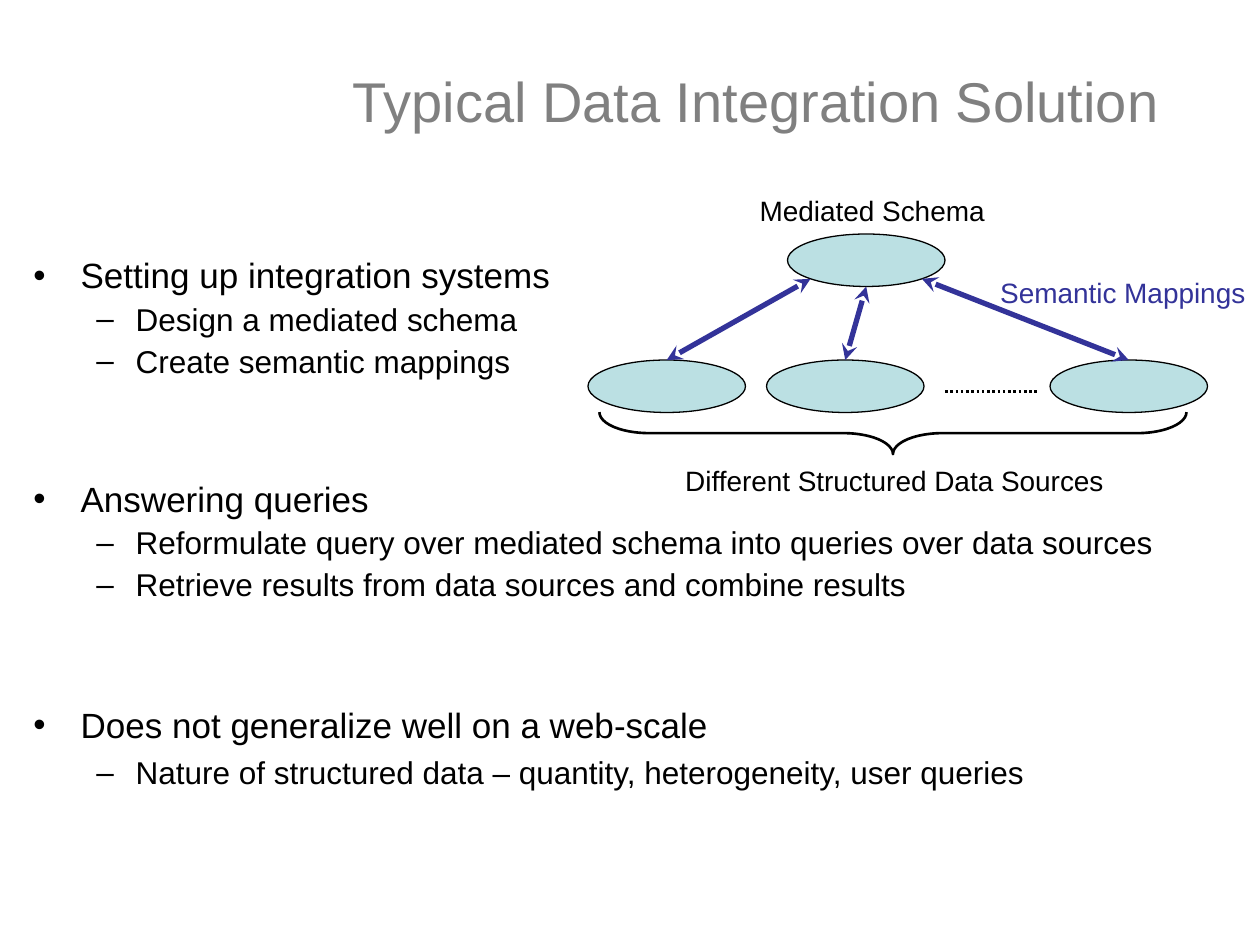
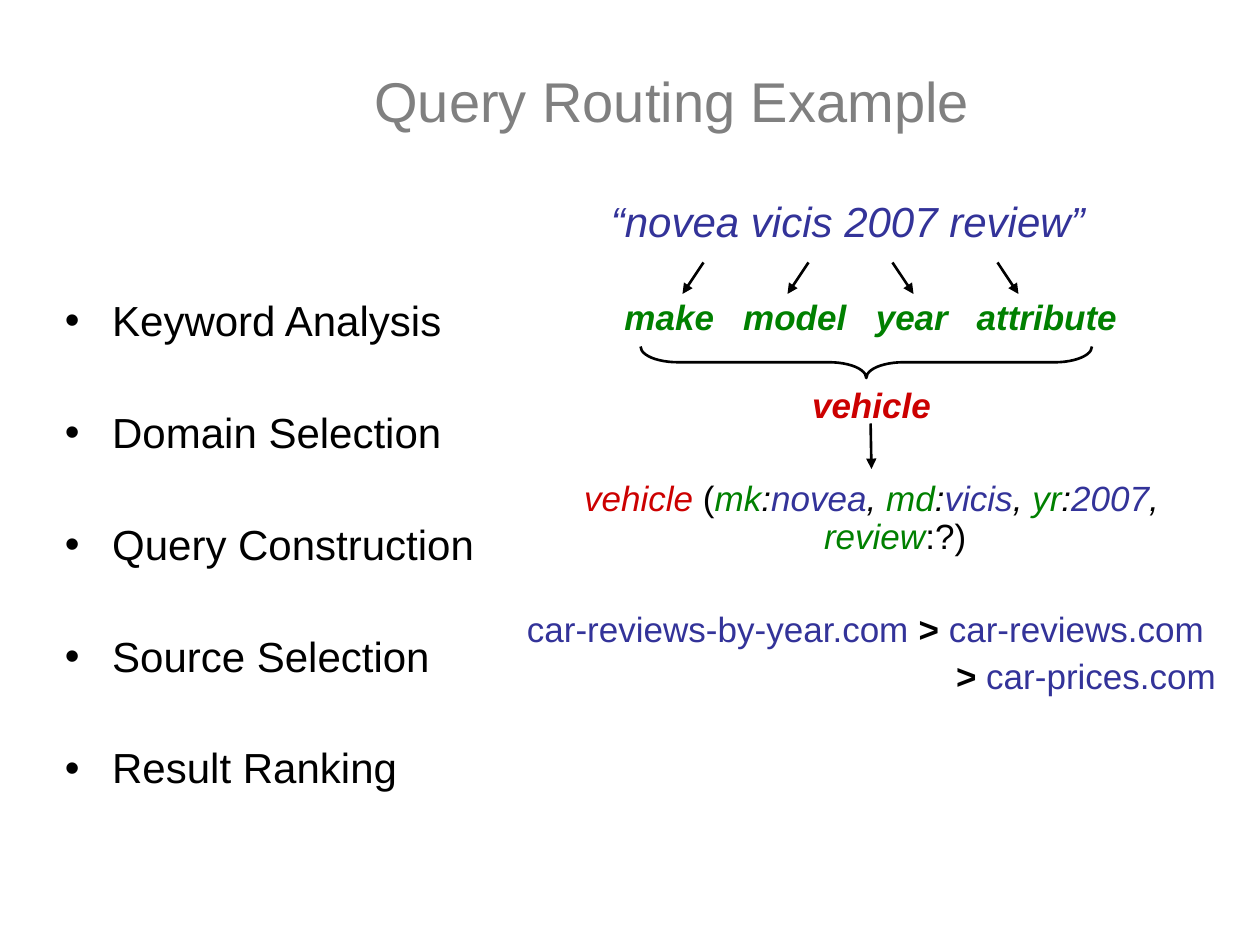
"""Builds two slides on data integration and query routing."""
import math
from dataclasses import dataclass

import lxml.etree
import pptx
import pptx.dml.color
import pptx.enum.dml
import pptx.enum.shapes
import pptx.enum.text
import pptx.oxml.ns
import pptx.slide
import pptx.util

Pt = pptx.util.Pt
ALIGN = pptx.enum.text.PP_ALIGN
ANCHOR = pptx.enum.text.MSO_ANCHOR
SHAPE = pptx.enum.shapes.MSO_SHAPE
qn = pptx.oxml.ns.qn


@dataclass(frozen=True)
class Theme:
    font: str = "Arial"
    black: str = "000000"
    gray: str = "808080"
    blue: str = "333399"
    green: str = "008000"
    red: str = "CC0000"
    pale: str = "BBE0E3"
    title: float = 32
    large: float = 24
    body: float = 20
    detail: float = 18
    label: float = 16


THEME = Theme()


@dataclass(frozen=True)
class Frame:
    left: float
    top: float
    width: float
    height: float

    @property
    def lengths(self) -> list:
        return [Pt(n) for n in (self.left, self.top, self.width, self.height)]


@dataclass(frozen=True)
class Span:
    text: str
    color: str = THEME.black
    bold: bool = False
    italic: bool = False


@dataclass(frozen=True)
class Line:
    spans: tuple[Span, ...]
    size: float = THEME.body
    before: float = 0
    spacing: float = 0.9
    align: ALIGN = ALIGN.LEFT
    margin: float = 27
    indent: float = -27
    bullet: str = ""


@dataclass(frozen=True)
class Arrow:
    start: tuple[float, float]
    end: tuple[float, float]
    color: str = THEME.black
    weight: float = 1.5
    head: str = ""
    tail: str = ""


def rgb(color: str) -> pptx.dml.color.RGBColor:
    return pptx.dml.color.RGBColor.from_string(color)


def add_child(parent, tag: str, **attributes: str):
    return lxml.etree.SubElement(parent, qn(tag), attributes)


def format_line(para, line: Line) -> None:
    para.text = line.spans[0].text
    for span in line.spans[1:]:
        para.add_run().text = span.text
    para.alignment = line.align
    para.line_spacing = line.spacing
    para.space_before = Pt(line.before)
    props = para._p.get_or_add_pPr()
    props.set("marL", str(Pt(line.margin)))
    props.set("indent", str(Pt(line.indent)))
    if line.bullet:
        add_child(add_child(props, "a:buClr"), "a:srgbClr", val=THEME.black)
        add_child(props, "a:buFont", typeface=THEME.font)
        add_child(props, "a:buChar", char=line.bullet)
    else:
        add_child(props, "a:buNone")
    for run, span in zip(para.runs, line.spans):
        run.font.name = THEME.font
        run.font.size = Pt(line.size)
        run.font.bold = span.bold
        run.font.italic = span.italic
        run.font.color.rgb = rgb(span.color)


def add_text(page: pptx.slide.Slide, frame: Frame, lines: list[Line],
             anchor: ANCHOR = ANCHOR.TOP):
    text_frame = page.shapes.add_textbox(*frame.lengths).text_frame
    text_frame.word_wrap = True
    text_frame.vertical_anchor = anchor
    for index, line in enumerate(lines):
        para = text_frame.add_paragraph() if index else text_frame.paragraphs[0]
        format_line(para, line)
    return text_frame


def add_title(page: pptx.slide.Slide, text: str, center: float) -> None:
    line = Line((Span(text, THEME.gray),), THEME.title, spacing=1,
                align=ALIGN.CENTER, margin=0, indent=0)
    add_text(page, Frame(center - 288, 12, 576, 90), [line], ANCHOR.MIDDLE)


def add_label(page: pptx.slide.Slide, frame: Frame, span: Span,
              size: float = THEME.label, spacing: float = 1) -> None:
    line = Line((span,), size, spacing=spacing, margin=0, indent=0)
    add_text(page, frame, [line]).margin_right = 0


def add_arrow(page: pptx.slide.Slide, arrow: Arrow):
    connector = page.shapes.add_connector(
        pptx.enum.shapes.MSO_CONNECTOR.STRAIGHT,
        *[Pt(n) for n in arrow.start + arrow.end])
    connector.line.width = Pt(arrow.weight)
    connector.line.color.rgb = rgb(arrow.color)
    props = connector.element.spPr
    outline = props.find(qn("a:ln"))
    for tag, kind in (("a:headEnd", arrow.head), ("a:tailEnd", arrow.tail)):
        if kind:
            add_child(outline, tag, type=kind)
    add_child(props, "a:effectLst")
    return connector


def add_brace(page: pptx.slide.Slide, frame: Frame) -> None:
    shift = (frame.width - frame.height) / 2
    upright = Frame(frame.left + shift, frame.top - shift, frame.height, frame.width)
    brace = page.shapes.add_shape(SHAPE.RIGHT_BRACE, *upright.lengths)
    brace.rotation = 90
    brace.adjustments[0] = 1.18
    brace.shadow.inherit = False
    brace.fill.background()
    brace.line.color.rgb = rgb(THEME.black)
    brace.line.width = Pt(1.5)


def add_schema(page: pptx.slide.Slide, frame: Frame):
    oval = page.shapes.add_shape(SHAPE.OVAL, *frame.lengths)
    oval.shadow.inherit = False
    oval.fill.solid()
    oval.fill.fore_color.rgb = rgb(THEME.pale)
    oval.line.color.rgb = rgb(THEME.black)
    oval.line.width = Pt(0.75)
    return oval


def topic(text: str, before: float = 0, size: float = THEME.body,
          spacing: float = 0.9) -> Line:
    return Line((Span(text),), size, before, spacing, bullet="•")


def detail(text: str, spacing: float = 0.9) -> Line:
    return Line((Span(text),), THEME.detail, 4.5, spacing,
                margin=58.5, indent=-22.5, bullet="–")


def build_solution(page: pptx.slide.Slide) -> None:
    add_text(page, Frame(12, 144, 678, 372), [
        topic("Setting up integration systems"),
        detail("Design a mediated schema"),
        detail("Create semantic mappings"),
        topic("Answering queries", 58.4),
        detail("Reformulate query over mediated schema into queries over data sources"),
        detail("Retrieve results from data sources and combine results"),
        topic("Does not generalize well on a web-scale", 57, spacing=1),
        detail("Nature of structured data – quantity, heterogeneity, user queries", 1),
    ])
    add_title(page, "Typical Data Integration Solution", 432)

    mediated = Frame(450, 133.75, 90, 30)
    add_schema(page, mediated)
    center_x = mediated.left + mediated.width / 2
    center_y = mediated.top + mediated.height / 2
    for left, angle in ((336, 135), (438, 90), (600, 45)):
        source = Frame(left, 205.75, mediated.width, mediated.height)
        oval = add_schema(page, source)
        turn = math.radians(angle)
        rim = (center_x + mediated.width / 2 * math.cos(turn),
               center_y + mediated.height / 2 * math.sin(turn))
        mapping = add_arrow(page, Arrow((left + source.width / 2, source.top), rim,
                                        THEME.blue, 3, "stealth", "stealth"))
        mapping.begin_connect(oval, 0)

    add_label(page, Frame(427, 107, 150, 26.5), Span("Mediated Schema"))
    add_label(page, Frame(384.5, 261.5, 260, 26.5),
              Span("Different Structured Data Sources"))
    add_brace(page, Frame(342.5, 235.5, 335.5, 24))
    more_sources = add_arrow(page, Arrow((540, 223.75), (594, 223.75)))
    more_sources.line.dash_style = pptx.enum.dml.MSO_LINE.ROUND_DOT
    add_label(page, Frame(564.5, 154, 155, 26.5),
              Span("Semantic Mappings", THEME.blue))


def build_routing(page: pptx.slide.Slide) -> None:
    def field(name: str, value: str) -> tuple[Span, ...]:
        return (Span(name, THEME.green, italic=True), Span(":", italic=True),
                Span(value, THEME.blue, italic=True), Span(", ", italic=True))

    query = (Span("vehicle ", THEME.red, italic=True), Span("("),
             *field("mk", "novea"), *field("md", "vicis"), *field("yr", "2007"),
             Span("review", THEME.green, italic=True), Span(":?)"))
    better = Span("> ", bold=True)
    add_text(page, Frame(294, 218.5, 408, 282), [
        Line((Span("vehicle", THEME.red, True, True),), align=ALIGN.CENTER),
        Line(query, before=31.6, align=ALIGN.CENTER),
        Line((Span("car-reviews-by-year.com ", THEME.blue), better,
              Span("car-reviews.com", THEME.blue)), before=31.6),
        Line((better, Span("car-prices.com", THEME.blue)), before=5, align=ALIGN.RIGHT),
    ])
    for attribute, left, width in (("make", 349.8, 66), ("model", 417.6, 74),
                                   ("year", 493.4, 56), ("attribute", 551, 96)):
        add_label(page, Frame(left, 168.2, width, 29),
                  Span(attribute, THEME.green, True, True), THEME.body, 0.9)
    add_title(page, "Query Routing Example", 384)

    steps = ("Keyword Analysis", "Domain Selection", "Query Construction",
             "Source Selection", "Result Ranking")
    add_text(page, Frame(30, 168, 312, 342),
             [topic(step, 38 if index else 0, THEME.large)
              for index, step in enumerate(steps)])

    for start, end in ((402, 390), (462, 450), (510, 522), (570, 582)):
        add_arrow(page, Arrow((start, 150), (end, 168), tail="triangle"))
    add_brace(page, Frame(366, 198, 258, 18))
    add_arrow(page, Arrow((497.5, 242), (498, 268), tail="triangle"))
    add_label(page, Frame(342, 108, 300, 36),
              Span("“novea vicis 2007 review”", THEME.blue, italic=True), THEME.large)


def main() -> None:
    deck = pptx.Presentation()
    deck.slide_width, deck.slide_height = Pt(720), Pt(540)
    for build in (build_solution, build_routing):
        build(deck.slides.add_slide(deck.slide_layouts[6]))
    deck.save("out.pptx")


if __name__ == "__main__":
    main()
